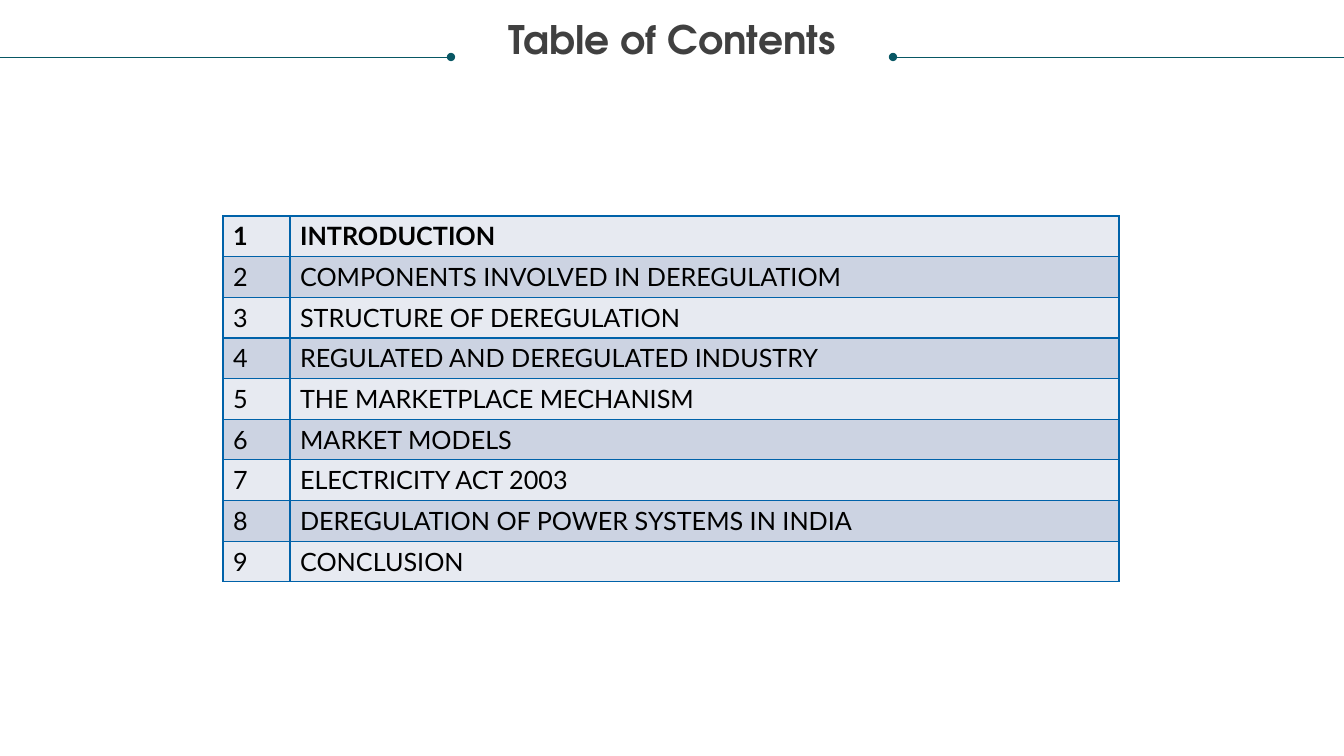
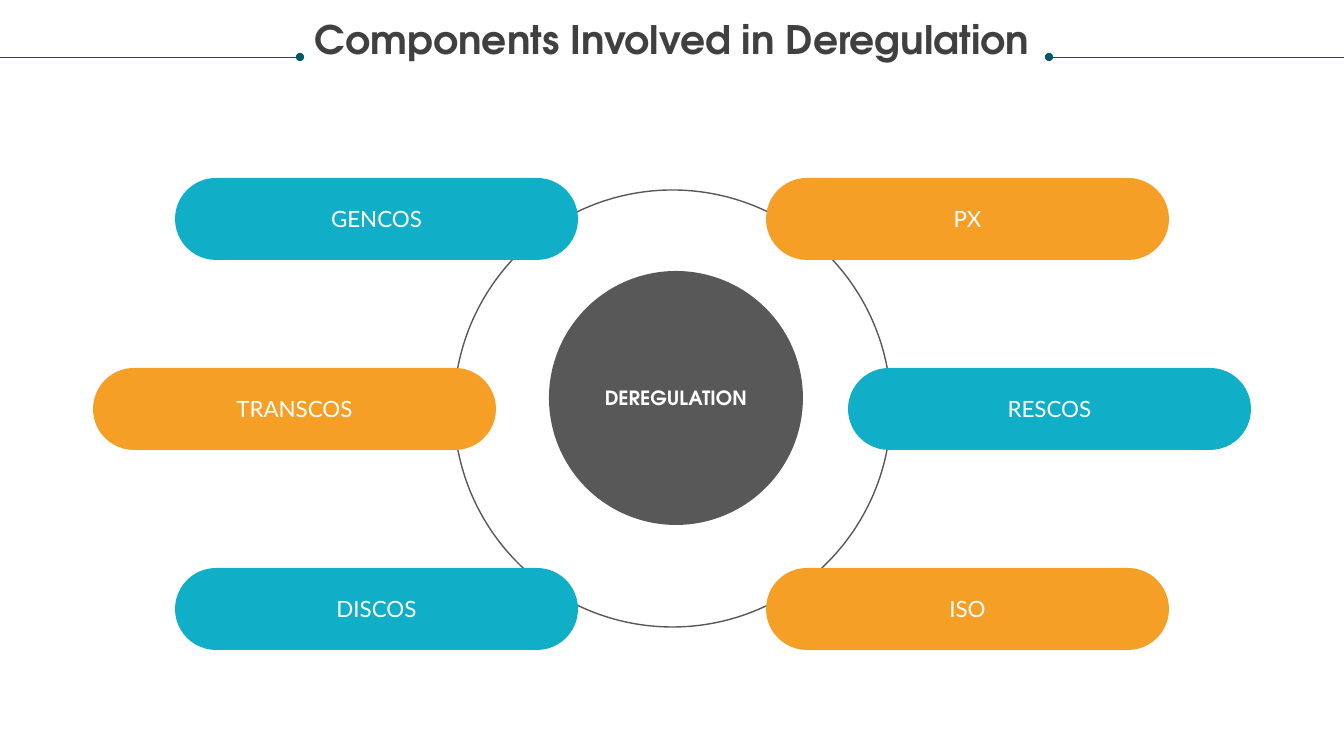
from lxml import etree
from pptx import Presentation
from pptx import util as u
from pptx.dml.color import RGBColor
from pptx.enum import shapes, text
from pptx.oxml import ns

# Style constants
TEAL = RGBColor(0x08, 0x57, 0x64)
DARK = RGBColor(0x40, 0x40, 0x40)
GRAY = RGBColor(0x58, 0x58, 0x58)
ORANGE = RGBColor(0xF5, 0x9F, 0x26)
CYAN = RGBColor(0x11, 0xAE, 0xC7)
BORDER = RGBColor(0x00, 0x62, 0xA9)
ROW_LIGHT = RGBColor(0xE7, 0xEA, 0xF1)
ROW_DARK = RGBColor(0xCC, 0xD3, 0xE2)
BLACK = RGBColor(0, 0, 0)
WHITE = RGBColor(0xFF, 0xFF, 0xFF)

HEADING_FONT = "TeX Gyre Adventor"
BODY_FONT = "Lato"

WIDTH, HEIGHT = 1344, 756
EMU_PER_PX = 914400 / 100.8


def px(*lengths):
    """Turn px lengths into a list of EMU lengths."""
    return [u.Emu(round(length * EMU_PER_PX)) for length in lengths]


def write_text(frame, words, size=16, color=WHITE, font=BODY_FONT, bold=False,
               align=text.PP_ALIGN.CENTER, anchor=text.MSO_ANCHOR.MIDDLE, spacing=1.0):
    frame.word_wrap = True
    frame.vertical_anchor = anchor
    paragraph = frame.paragraphs[0]
    paragraph.alignment = align
    paragraph.line_spacing = spacing
    run = paragraph.add_run()
    run.text = words
    run.font.name, run.font.size, run.font.bold = font, u.Pt(size), bold
    run.font.color.rgb = color


def add_xml(parent, tag, **attributes):
    return etree.SubElement(parent, ns.qn(tag), attributes)


class Deck:
    """Holds the shared style and the current slide."""

    def __init__(self):
        self.presentation = Presentation()
        self.presentation.slide_width, self.presentation.slide_height = px(WIDTH, HEIGHT)
        self.slide = None

    def add_slide(self, title, left_end, right_start):
        """Start a slide with its title between two dotted rules."""
        layout = self.presentation.slide_layouts.get_by_name("Title Only")
        self.slide = self.presentation.slides.add_slide(layout)
        self.add_title(title)
        self.add_rule(left_end, 0)
        self.add_rule(right_start, WIDTH)

    def add_title(self, words):
        shape = self.slide.shapes.title
        shape.left, shape.top, shape.width, shape.height = px(25, 21, 1294, 86)
        frame = shape.text_frame
        frame.margin_left = frame.margin_right = frame.margin_top = frame.margin_bottom = 0
        frame.auto_size = text.MSO_AUTO_SIZE.NONE
        write_text(frame, words, size=28, color=DARK, font=HEADING_FONT, bold=True,
                   anchor=text.MSO_ANCHOR.TOP, spacing=0.9)

    def add_rule(self, dot_x, edge_x, y=57):
        """Draw a thin line from a dot beside the title to the slide edge."""
        connector = self.slide.shapes.add_connector(
            shapes.MSO_CONNECTOR.STRAIGHT, *px(dot_x, y, edge_x, y))
        connector.line.color.rgb = TEAL
        connector.line.width = u.Pt(0.5)
        add_xml(connector.line._get_or_add_ln(), "a:headEnd", type="oval")
        add_xml(connector._element.spPr, "a:effectLst")

    def add_shape(self, kind, left, top, width, height, fill=None, line=None):
        shape = self.slide.shapes.add_shape(kind, *px(left, top, width, height))
        shape.shadow.inherit = False
        if fill is None:
            shape.fill.background()
        else:
            shape.fill.solid()
            shape.fill.fore_color.rgb = fill
        if line is None:
            shape.line.fill.background()
        else:
            shape.line.color.rgb = line
            shape.line.width = u.Pt(1)
        return shape

    def add_circle(self, left, top, size, **style):
        return self.add_shape(shapes.MSO_SHAPE.OVAL, left, top, size, size, **style)

    def add_pill(self, words, left, top, width, height, fill):
        pill = self.add_shape(shapes.MSO_SHAPE.ROUNDED_RECTANGLE,
                              left, top, width, height, fill=fill)
        pill.adjustments[0] = 0.5
        write_text(pill.text_frame, words)

    def add_contents(self, topics, left, top, widths, height):
        """Add a numbered table with banded rows; the first topic is bold."""
        table = self.slide.shapes.add_table(
            len(topics), len(widths), *px(left, top, sum(widths), height)).table
        table.first_row = table.horz_banding = False
        for column, width in zip(table.columns, px(*widths)):
            column.width = width
        for index, topic in enumerate(topics):
            fill = ROW_DARK if index % 2 else ROW_LIGHT
            for column, words in enumerate((str(index + 1), topic)):
                self.format_cell(table.cell(index, column), words, fill, bold=index == 0)

    def format_cell(self, cell, words, fill, bold):
        write_text(cell.text_frame, words, size=18, color=BLACK, bold=bold,
                   align=text.PP_ALIGN.LEFT)
        cell.vertical_anchor = text.MSO_ANCHOR.TOP
        properties = cell._tc.get_or_add_tcPr()
        for side in ("a:lnL", "a:lnR", "a:lnT", "a:lnB"):
            border = add_xml(properties, side, w=str(u.Pt(1)))
            add_xml(add_xml(border, "a:solidFill"), "a:srgbClr", val=str(BORDER))
        cell.fill.solid()
        cell.fill.fore_color.rgb = fill


def main():
    deck = Deck()

    # Table of contents
    deck.add_slide("Table of Contents", 451, 893)
    deck.add_contents(
        ["INTRODUCTION", "COMPONENTS INVOLVED IN DEREGULATIOM",
         "STRUCTURE OF DEREGULATION", "REGULATED AND DEREGULATED INDUSTRY",
         "THE MARKETPLACE MECHANISM", "MARKET MODELS", "ELECTRICITY ACT 2003",
         "DEREGULATION OF POWER SYSTEMS IN INDIA", "CONCLUSION"],
        223, 216, (67, 829), 366)

    # Components around the hub
    deck.add_slide("Components Involved in Deregulation", 300, 1049)
    deck.add_circle(454, 190, 437, line=GRAY)
    hub = deck.add_circle(549, 271, 254, fill=GRAY)
    write_text(hub.text_frame, "DEREGULATION", size=14, font=HEADING_FONT, bold=True)

    # Pills mirrored about the slide centre, with alternating colours
    pill_width, pill_height = 403, 82
    pill_rows = [("GENCOS", "PX", 175, 178, CYAN, ORANGE),
                 ("TRANSCOS", "RESCOS", 93, 368, ORANGE, CYAN),
                 ("DISCOS", "ISO", 175, 568, CYAN, ORANGE)]
    for left_name, right_name, inset, top, left_fill, right_fill in pill_rows:
        deck.add_pill(left_name, inset, top, pill_width, pill_height, left_fill)
        deck.add_pill(right_name, WIDTH - inset - pill_width, top,
                      pill_width, pill_height, right_fill)

    deck.presentation.save("out.pptx")


if __name__ == "__main__":
    main()
